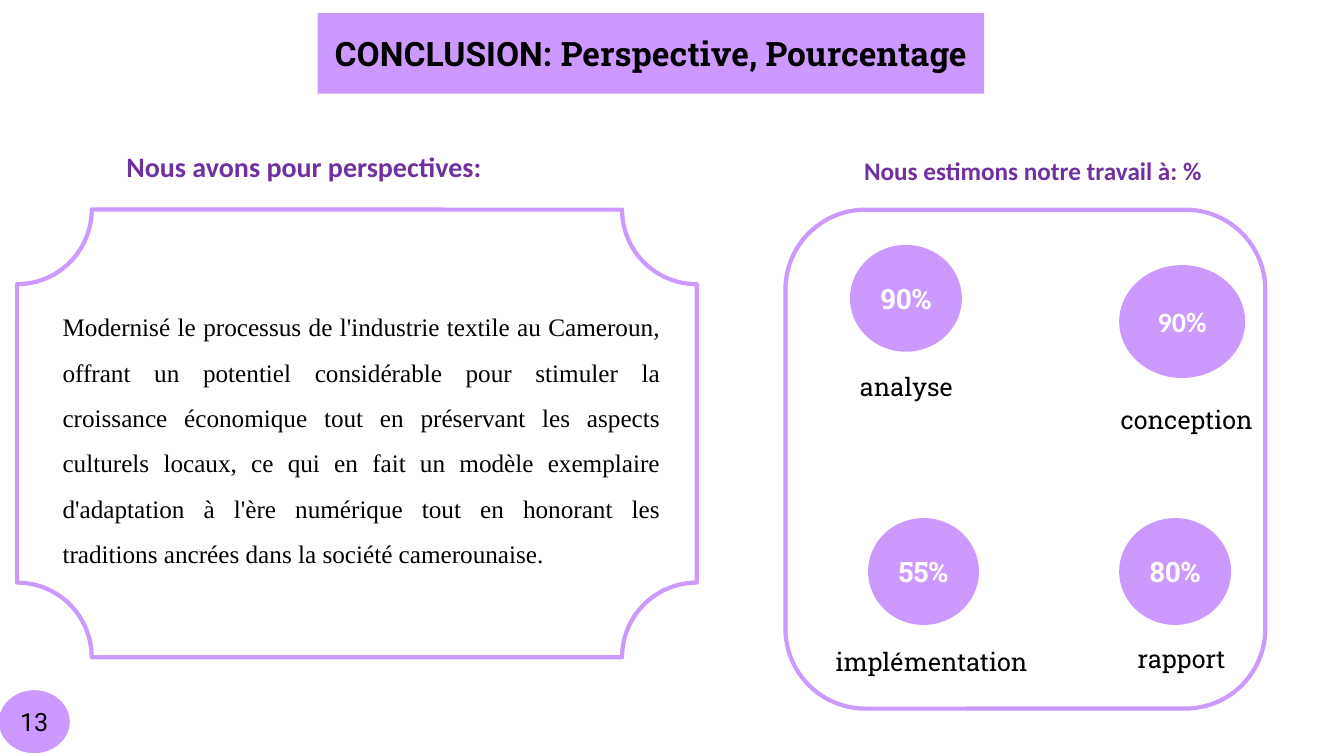
from lxml import etree
from pptx import Presentation
from pptx.dml.color import RGBColor
from pptx.enum import shapes, text
from pptx.oxml import ns
from pptx.util import Inches, Pt

LILAC = RGBColor(0xCC, 0x99, 0xFF)
PURPLE = RGBColor(0x70, 0x30, 0xA0)
WHITE = RGBColor(0xFF, 0xFF, 0xFF)
BLACK = RGBColor(0, 0, 0)
SLAB = "Roboto Slab"
FORM = shapes.MSO_SHAPE
ALIGN = text.PP_ALIGN

# Content; boxes are left, top, width, height in inches
TITLE = [("CONCLUSION: ", "Roboto"), ("Perspective, Pourcentage", SLAB)]
TITLE_BOX = (3.15, 0.13, 6.61, 0.8)
GOAL = (
    "Modernisé le processus de l'industrie textile au Cameroun, offrant un "
    "potentiel considérable pour stimuler la croissance économique tout en "
    "préservant les aspects culturels locaux, ce qui en fait un modèle "
    "exemplaire d'adaptation à l'ère numérique tout en honorant les traditions "
    "ancrées dans la société camerounaise."
)
GOAL_BOX = (0.52, 2.89, 6.13, 2.83)
HEADS = [
    ("Nous avons pour perspectives:", 20, (0.91, 1.34, 4.21, 0.62)),
    ("Nous estimons notre travail à: %", 18, (8.08, 1.25, 4.33, 0.88)),
]
FRAMES = [
    (FORM.PLAQUE, (0.17, 2.08, 6.74, 4.44)),
    (FORM.ROUNDED_RECTANGLE, (7.79, 2.08, 4.76, 4.95)),
]
# Share, its font, disc box, label, label box
SCORES = [
    ("90%", SLAB, (8.43, 2.43, 1.11, 1.06), "analyse", (8.37, 3.65, 1.24, 0.37)),
    ("90%", "Calibri", (11.1, 2.63, 1.25, 1.12), "conception", (10.89, 3.97, 1.76, 0.39)),
    ("55%", SLAB, (8.61, 5.14, 1.1, 1.06), "implémentation", (8.1, 6.35, 2.28, 0.42)),
    ("80%", SLAB, (11.1, 5.14, 1.11, 1.06), "rapport", (11.1, 6.35, 1.24, 0.37)),
]
PAGE = ("13", (-0.02, 6.84, 0.72, 0.64))


def place(shape, box):
    shape.left, shape.top, shape.width, shape.height = map(Inches, box)


def style(para, size, color, name=None, bold=False, align=ALIGN.CENTER):
    para.alignment = align
    font = para.font
    font.size, font.bold = Pt(size), bold
    font.color.rgb = color
    if name:
        font.name = name


def setup(frame, anchor=text.MSO_ANCHOR.MIDDLE):
    frame.word_wrap = True
    frame.auto_size = text.MSO_AUTO_SIZE.NONE
    frame.vertical_anchor = anchor


def write(shape, words, *look):
    frame = shape.text_frame
    setup(frame)
    frame.text = words
    style(frame.paragraphs[0], *look)


def label(slide, words, box, *look):
    write(slide.shapes.add_textbox(*map(Inches, box)), words, *look)


def draw(slide, form, box):
    shape = slide.shapes.add_shape(form, *map(Inches, box))
    shape.shadow.inherit = False
    return shape


def disc(slide, words, box, *look):
    shape = draw(slide, FORM.OVAL, box)
    shape.fill.solid()
    shape.fill.fore_color.rgb = LILAC
    shape.line.fill.background()
    write(shape, words, *look)
    return shape


def main():
    deck = Presentation()
    deck.slide_width, deck.slide_height = Inches(13.33), Inches(7.5)
    slide = deck.slides.add_slide(deck.slide_layouts[1])
    title, body = slide.placeholders

    # Title on a rounded bar
    place(title, TITLE_BOX)
    geom = etree.SubElement(title.element.spPr, ns.qn("a:prstGeom"), prst="roundRect")
    etree.SubElement(geom, ns.qn("a:avLst"))
    title.fill.solid()
    title.fill.fore_color.rgb = LILAC
    setup(title.text_frame)
    para = title.text_frame.paragraphs[0]
    style(para, 24, BLACK, bold=True)
    for words, name in TITLE:
        run = para.add_run()
        run.text, run.font.name = words, name

    # Goal paragraph, without a bullet
    place(body, GOAL_BOX)
    setup(body.text_frame, text.MSO_ANCHOR.TOP)
    body.text_frame.text = GOAL
    para = body.text_frame.paragraphs[0]
    para.line_spacing, para.space_before = 1.5, Pt(0)
    style(para, 18, BLACK, "Times New Roman", False, ALIGN.JUSTIFY)
    props = para._p.get_or_add_pPr()
    props.set("marL", "0")
    props.set("indent", "0")
    props.find(ns.qn("a:spcBef")).addnext(etree.Element(ns.qn("a:buNone")))

    # Headings and frames
    for words, size, box in HEADS:
        label(slide, words, box, size, PURPLE, "Calibri", True)
    for form, box in FRAMES:
        frame = draw(slide, form, box)
        frame.fill.background()
        frame.line.color.rgb = LILAC
        frame.line.width = Pt(3)

    # Scores
    for share, name, spot, words, box in SCORES:
        disc(slide, share, spot, 20, WHITE, name, True)
        label(slide, words, box, 18, BLACK, SLAB)

    # Page number
    badge = disc(slide, *PAGE, 18, BLACK, "Roboto")
    badge.line.color.rgb = WHITE
    badge.line.width = Pt(1)

    deck.save("out.pptx")


if __name__ == "__main__":
    main()
